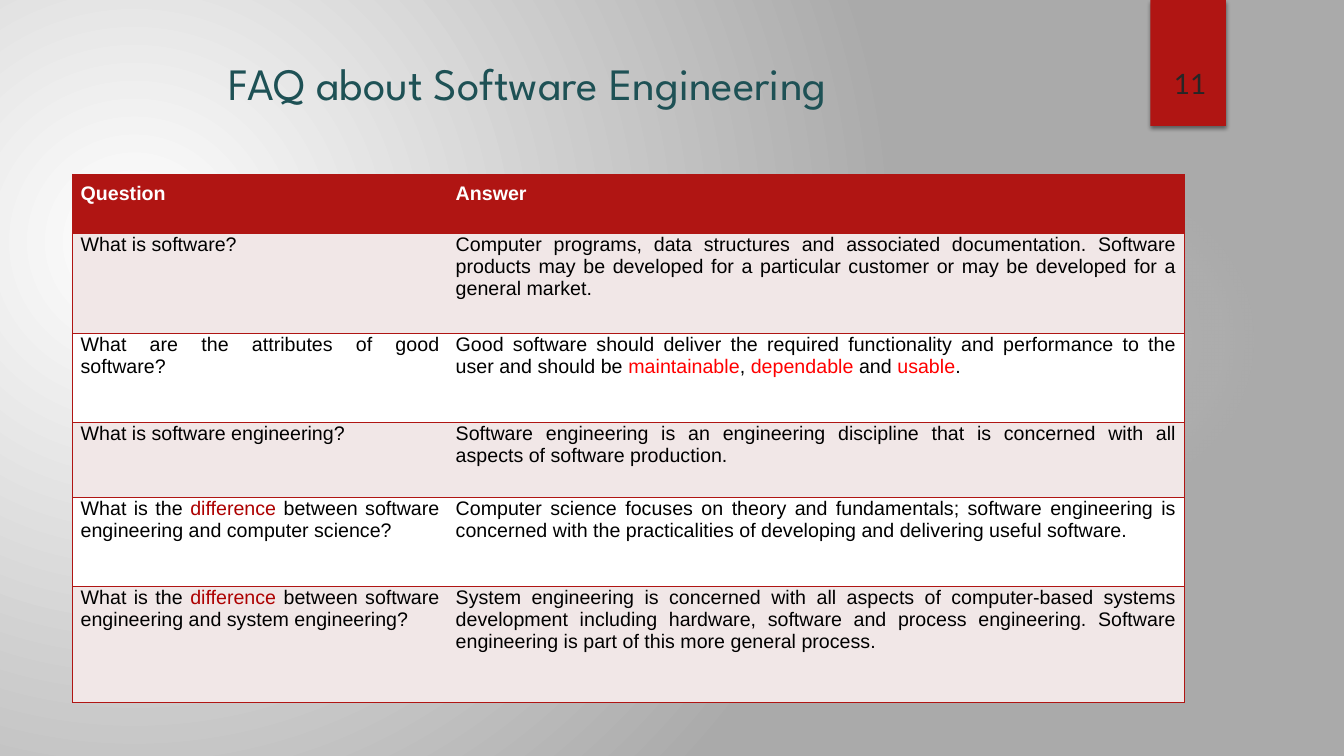
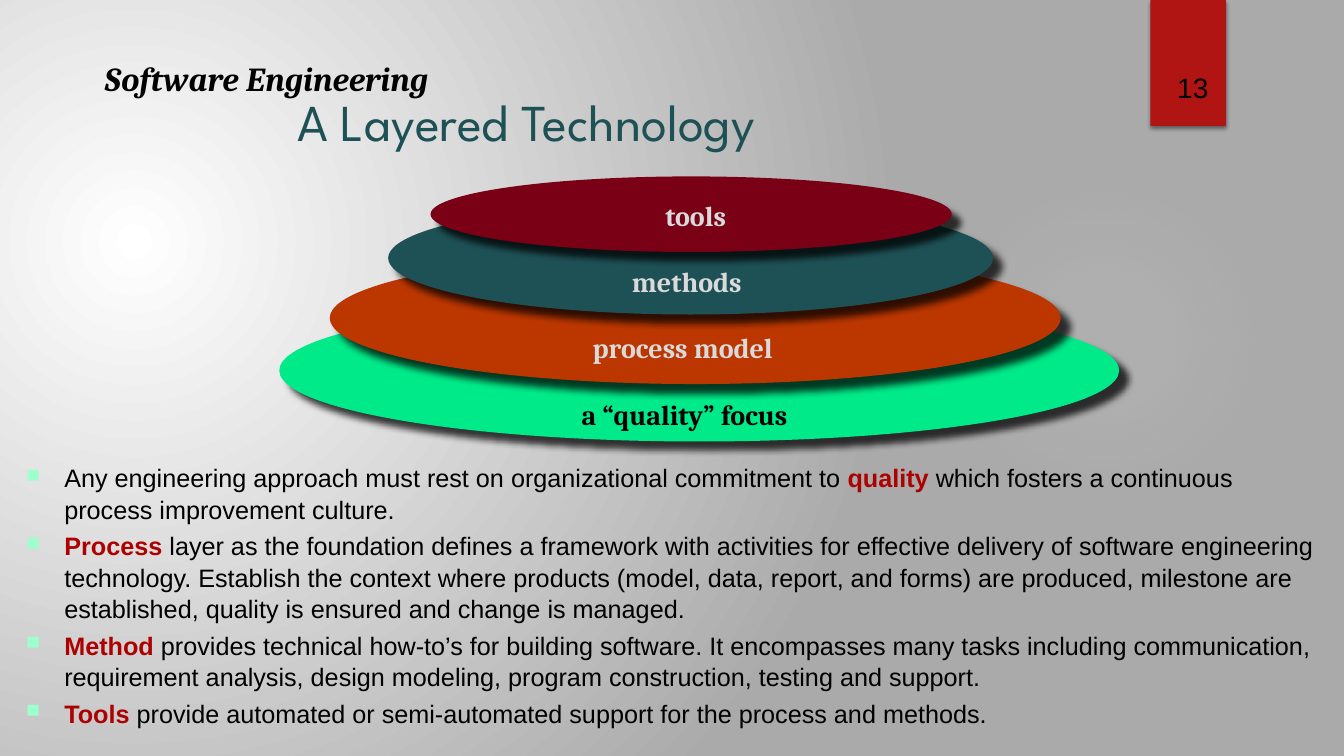
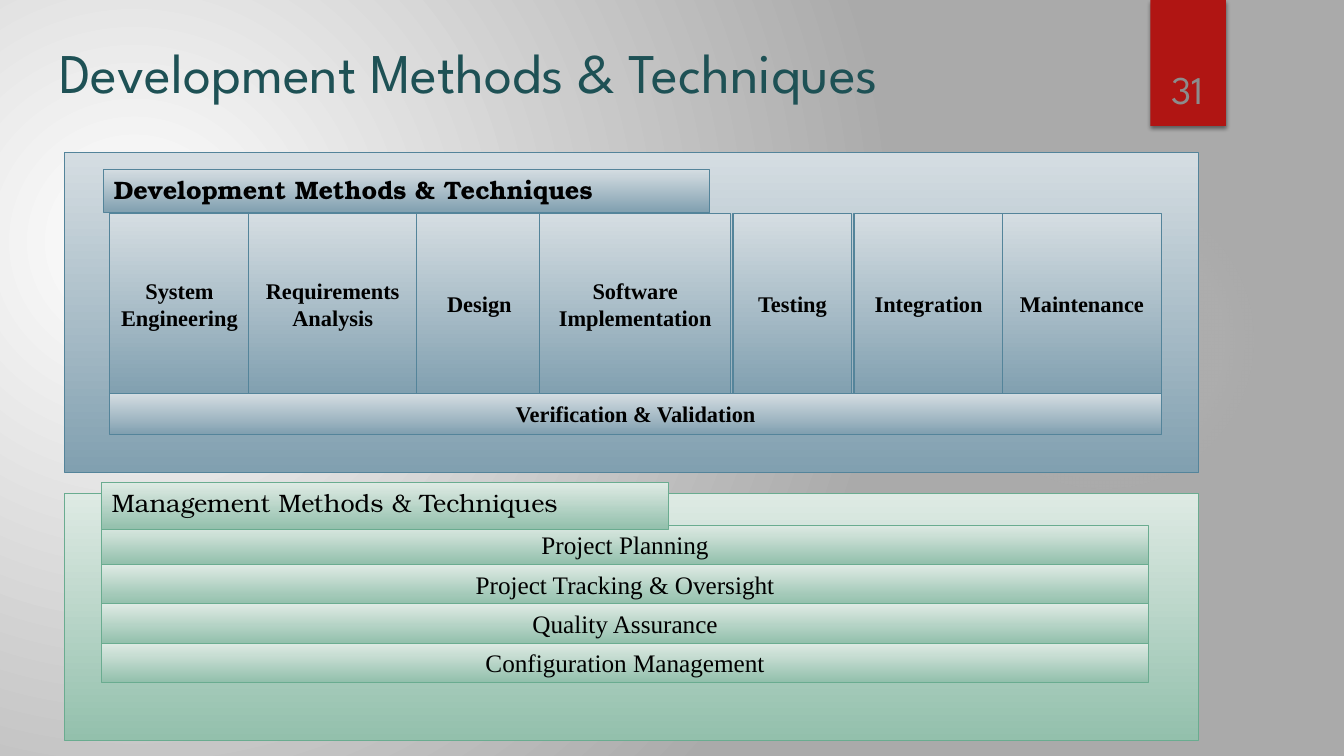
"""Build three software engineering slides: FAQ table, layered technology, development methods."""
import pptx
import pptx.dml.color
import pptx.enum.shapes
import pptx.enum.text
import pptx.oxml
import pptx.oxml.ns
import pptx.util

Inches = pptx.util.Inches
Pt = pptx.util.Pt
SHAPE = pptx.enum.shapes.MSO_SHAPE
ALIGN = pptx.enum.text.PP_ALIGN
ANCHOR = pptx.enum.text.MSO_ANCHOR


class Theme:
    ink, white, title, accent = "000000", "FFFFFF", "1E5155", "B01513"
    back_edge, glow = "AAAAAA", "F3F3F3"
    emphasis, alert = "AD0101", "FF0000"
    band, bullet, pale = "F1E7E7", "9DFFCB", "DADADA"
    blue = ("D5DDE2", "81A0B0", "54849A")
    green = ("DEEAE4", "93C0AC", "6AAC90")
    title_font, body_font, serif_font = "League Spartan", "Arial", "Cambria"
    box_font, heading_font, number_font = "Times New Roman", "TeX Gyre Bonum", "Lato"
    table_size, box_size, body_size, label_size, subtitle_size = 14, 16, 18, 20, 24


FAQ_COLUMNS = (3.72, 7.31)
FAQ_HEIGHTS = (0.59, 0.99, 0.88, 0.75, 0.88, 1.15)
FAQ_ROWS = [
    (["Question"], ["Answer"]),
    (["What is software?"],
     ["Computer programs, data structures and associated documentation. Software products may be "
      "developed for a particular customer or may be developed for a general market."]),
    (["What are the attributes of good software?"],
     ["Good software should deliver the required functionality and performance to the user and should be ",
      ("maintainable", Theme.alert), ", ", ("dependable", Theme.alert), " and ",
      ("usable", Theme.alert), "."]),
    (["What is software engineering?"],
     ["Software engineering is an engineering discipline that is concerned with all aspects of "
      "software production."]),
    (["What is the ", ("difference", Theme.emphasis),
      " between software engineering and computer science?"],
     ["Computer science focuses on theory and fundamentals; software engineering is concerned with "
      "the practicalities of developing and delivering useful software."]),
    (["What is the ", ("difference", Theme.emphasis),
      " between software engineering and system engineering?"],
     ["System engineering is concerned with all aspects of computer-based systems development "
      "including hardware, software and process engineering. Software engineering is part of this "
      "more general process."]),
]

LAYERS = [
    ("a “quality” focus", (2.77, 2.97, 8.33, 1.41), "01EA89", Theme.ink, (5.67, 3.89, 2.45, 0.43)),
    ("process model", (3.27, 2.5, 7.25, 1.31), "BC3700", Theme.pale, (5.78, 3.23, 2.18, 0.43)),
    ("methods", (3.85, 2, 6, 1.12), "1E5155", Theme.pale, (6.17, 2.58, 1.37, 0.43)),
    ("tools", (4.27, 1.75, 5.17, 0.75), "790015", Theme.pale, (6.5, 1.92, 0.87, 0.43)),
]
LAYER_NOTES = [
    ["Any engineering approach must rest on organizational commitment to ",
     ("quality ", Theme.emphasis), "which fosters a continuous process improvement culture."],
    [("Process ", Theme.emphasis),
     "layer as the foundation defines a framework with activities for effective delivery of software "
     "engineering technology. Establish the context where products (model, data, report, and forms) "
     "are produced, milestone are established, quality is ensured and change is managed."],
    [("Method ", Theme.emphasis),
     "provides technical how-to’s for building software. It encompasses many tasks including "
     "communication, requirement analysis, design modeling, program construction, testing and support."],
    [("Tools ", Theme.emphasis),
     "provide automated or semi-automated support for the process and methods."],
]

PHASES = [
    ("System\nEngineering", 1.09, 1.38),
    ("Requirements\nAnalysis", 2.46, 1.68),
    ("Design", 4.13, 1.25),
    ("Software\nImplementation", 5.35, 1.9),
    ("Testing", 7.27, 1.18),
    ("Integration", 8.47, 1.48),
    ("Maintenance", 9.94, 1.58),
]
PRACTICES = ["Project Planning", "Project Tracking & Oversight", "Quality Assurance",
             "Configuration Management"]


def rgb(color):
    return pptx.dml.color.RGBColor.from_string(color)


def element(markup):
    return pptx.oxml.parse_xml(markup.replace(">", " " + pptx.oxml.ns.nsdecls("a") + ">", 1))


def place(area):
    return [Inches(length) for length in area]


def style(span, font, size, color, bold=False, italic=False):
    span.font.name, span.font.size = font, Pt(size)
    span.font.bold, span.font.italic = bold, italic
    span.font.color.rgb = rgb(color)


def write(frame, text, font, size, color, bold=False, italic=False, align=ALIGN.LEFT):
    frame.text = text
    for para in frame.paragraphs:
        para.alignment = align
        for span in para.runs:
            style(span, font, size, color, bold, italic)


def write_spans(para, spans, size, color, bold=False, strong=False):
    for item in spans:
        marked = isinstance(item, tuple)
        span = para.add_run()
        span.text = item[0] if marked else item
        style(span, Theme.body_font, size, item[1] if marked else color, bold or (marked and strong))


def add_text(page, area, text, *look, wrap=True, anchor=ANCHOR.TOP, **more):
    box = page.shapes.add_textbox(*place(area))
    box.text_frame.word_wrap = wrap
    box.text_frame.vertical_anchor = anchor
    write(box.text_frame, text, *look, **more)
    return box


def radial(fill, stops, focus):
    fill.gradient()
    gradient = fill._xPr.find(pptx.oxml.ns.qn("a:gradFill"))
    gradient.clear()
    marks = "".join(
        f'<a:gs pos="{pos * 1000}"><a:srgbClr val="{color}"><a:alpha val="{alpha * 1000}"/>'
        "</a:srgbClr></a:gs>" if alpha < 100 else
        f'<a:gs pos="{pos * 1000}"><a:srgbClr val="{color}"/></a:gs>'
        for pos, color, alpha in stops)
    left, top, right, bottom = (side * 1000 for side in focus)
    gradient.append(element(f"<a:gsLst>{marks}</a:gsLst>"))
    gradient.append(element(
        f'<a:path path="circle"><a:fillToRect l="{left}" t="{top}" r="{right}" b="{bottom}"/></a:path>'))


def add_shape(shapes, kind, area, color=None):
    shape = shapes.add_shape(kind, *place(area))
    shape.shadow.inherit = False
    shape.line.fill.background()
    if color:
        shape.fill.solid()
        shape.fill.fore_color.rgb = rgb(color)
    return shape


def cast_shadow(shape, alpha, blur, distance, angle):
    effects = shape.element.spPr.find(pptx.oxml.ns.qn("a:effectLst"))
    effects.append(element(
        f'<a:outerShdw blurRad="{Pt(blur)}" dist="{Pt(distance)}" dir="{angle * 60000}" algn="ctr" '
        f'rotWithShape="0"><a:srgbClr val="{Theme.ink}"><a:alpha val="{alpha * 1000}"/></a:srgbClr>'
        "</a:outerShdw>"))


def add_page(deck, title, title_area, title_size):
    page = deck.slides.add_slide(deck.slide_layouts[6])
    glow = add_shape(page.shapes, SHAPE.OVAL, (9.41, 1.83, 3.08, 3.08))
    radial(glow.fill, [(0, Theme.glow, 7), (36, Theme.glow, 6), (69, Theme.glow, 0)], (50,) * 4)
    tab = add_shape(page.shapes, SHAPE.RECTANGLE, (11.41, 0, 0.75, 1.25), Theme.accent)
    cast_shadow(tab, 45, 3, 2, 90)
    add_text(page, title_area, title, Theme.title_font, title_size, Theme.title)
    return page


def add_number(page, area, number, font, size, color):
    add_text(page, area, number, font, size, color, anchor=ANCHOR.BOTTOM, align=ALIGN.CENTER)


def outline(cell, sides):
    properties = cell._tc.get_or_add_tcPr()
    for index, side in enumerate(sides):
        properties.insert(index, element(
            f'<a:ln{side} w="{Pt(1)}"><a:solidFill><a:srgbClr val="{Theme.accent}"/></a:solidFill>'
            f"</a:ln{side}>"))


def faq_page(deck):
    page = add_page(deck, "FAQ about Software Engineering", (2.17, 0.5, 9.08, 1.09), 32)
    add_number(page, (10.64, 0.64, 2.33, 0.4), "11", Theme.number_font, 20, "262626")
    area = (0.72, 1.73, sum(FAQ_COLUMNS), sum(FAQ_HEIGHTS))
    frame = page.shapes.add_table(len(FAQ_ROWS), len(FAQ_COLUMNS), *place(area))
    for style_id in frame.element.iter(pptx.oxml.ns.qn("a:tableStyleId")):
        style_id.text = "{2D5ABB26-0587-4C30-8999-92F81FD0307C}"
    table = frame.table
    for column, width in zip(table.columns, FAQ_COLUMNS):
        column.width = Inches(width)
    for index, (row, height) in enumerate(zip(table.rows, FAQ_HEIGHTS)):
        row.height = Inches(height)
        header = index == 0
        fill = Theme.accent if header else (Theme.white, Theme.band)[index % 2]
        for cell, spans, side in zip(row.cells, FAQ_ROWS[index], "LR"):
            cell.margin_left = cell.margin_right = cell.margin_bottom = Inches(0.08)
            cell.margin_top = Inches(0.08 if header else 0)
            cell.fill.solid()
            cell.fill.fore_color.rgb = rgb(fill)
            outline(cell, (side, "T", "B"))
            para = cell.text_frame.paragraphs[0]
            para.alignment = ALIGN.JUSTIFY
            write_spans(para, spans, Theme.table_size, Theme.white if header else Theme.ink, header)


def layers_page(deck):
    page = add_page(deck, "A Layered Technology", (2.85, 0.84, 8.1, 0.7), 37)
    add_number(page, (11.37, 0.24, 0.92, 0.84), "13", Theme.body_font, 20, Theme.ink)
    subtitle = add_text(page, (0.94, 0.57, 3.66, 0.46), "Software Engineering", Theme.serif_font,
                        Theme.subtitle_size, Theme.ink, True, True, wrap=False)
    subtitle.text_frame.paragraphs[0].line_spacing = 0.9
    for name, area, color, ink, label_area in LAYERS:
        cast_shadow(add_shape(page.shapes, SHAPE.OVAL, area, color), 75, 5, 8.5, 45)
    for name, area, color, ink, label_area in LAYERS:
        add_text(page, label_area, name, Theme.serif_font, Theme.label_size, ink, True, wrap=False)
    notes = page.shapes.add_textbox(*place((0.16, 4.53, 12.97, 3.16))).text_frame
    notes.word_wrap = True
    for index, spans in enumerate(LAYER_NOTES):
        para = notes.add_paragraph() if index else notes.paragraphs[0]
        para.space_before = Pt(3.6)
        para.line_spacing = 1.04
        write_spans(para, spans, Theme.body_size, Theme.ink, strong=True)
        properties = para._p.get_or_add_pPr()
        properties.set("marL", str(Inches(0.38)))
        properties.set("indent", str(-Inches(0.38)))
        for markup in (f'<a:buClr><a:srgbClr val="{Theme.bullet}"/></a:buClr>',
                       '<a:buSzPct val="75000"/>', '<a:buChar char="■"/>'):
            properties.append(element(markup.replace("/>", " />")
                                      if markup.startswith("<a:buClr") else
                                      markup.replace("/>", "></a:" + markup[3:].split()[0] + ">")))


def add_panel(group, area, palette, text="", *look, anchor=ANCHOR.MIDDLE, align=ALIGN.CENTER):
    panel = add_shape(group.shapes, SHAPE.RECTANGLE, area)
    light, dark, edge = palette
    panel.fill.gradient()
    panel.fill.gradient_angle = 270
    for stop, color in zip(panel.fill.gradient_stops, (light, dark)):
        stop.color.rgb = rgb(color)
    panel.line.color.rgb = rgb(edge)
    panel.line.width = Pt(0.75)
    if text:
        panel.text_frame.word_wrap = False
        panel.text_frame.vertical_anchor = anchor
        write(panel.text_frame, text, *look, align=align)


def methods_page(deck):
    page = add_page(deck, "Development Methods & Techniques", (0.49, 0.32, 10.43, 0.69), 40)
    phase_look = (Theme.box_font, Theme.box_size, Theme.ink, True)
    practice_look = (Theme.box_font, Theme.body_size, Theme.ink)
    heading_look = (Theme.heading_font, Theme.body_size, Theme.ink)
    heading_place = {"anchor": ANCHOR.TOP, "align": ALIGN.LEFT}

    development = page.shapes.add_group_shape()
    add_panel(development, (0.64, 1.51, 11.25, 3.18), Theme.blue)
    for name, left, width in PHASES:
        add_panel(development, (left, 2.12, width, 1.79), Theme.blue, name, *phase_look)
    add_panel(development, (1.09, 3.9, 10.43, 0.41), Theme.blue, "Verification & Validation", *phase_look)
    add_panel(development, (1.03, 1.68, 6.01, 0.43), Theme.blue, "Development Methods & Techniques",
              *heading_look, True, **heading_place)

    management = page.shapes.add_group_shape()
    add_panel(management, (0.64, 4.9, 11.25, 2.45), Theme.green)
    for index, name in enumerate(PRACTICES):
        add_panel(management, (1.01, 5.21 + 0.39 * index, 10.38, 0.39), Theme.green, name, *practice_look)
    add_panel(management, (1.01, 4.79, 5.62, 0.46), Theme.green, "Management Methods & Techniques",
              *heading_look, **heading_place)
    add_number(page, (11.32, 0.32, 0.92, 0.84), "31", Theme.title_font, 28, "8C8C8C")


def main():
    deck = pptx.Presentation()
    deck.slide_width, deck.slide_height = Inches(13.33), Inches(7.5)
    radial(deck.slide_master.background.fill,
           [(0, Theme.white, 100), (100, Theme.back_edge, 100)], (45, 65, 125, 100))
    faq_page(deck)
    layers_page(deck)
    methods_page(deck)
    deck.save("out.pptx")


if __name__ == "__main__":
    main()
